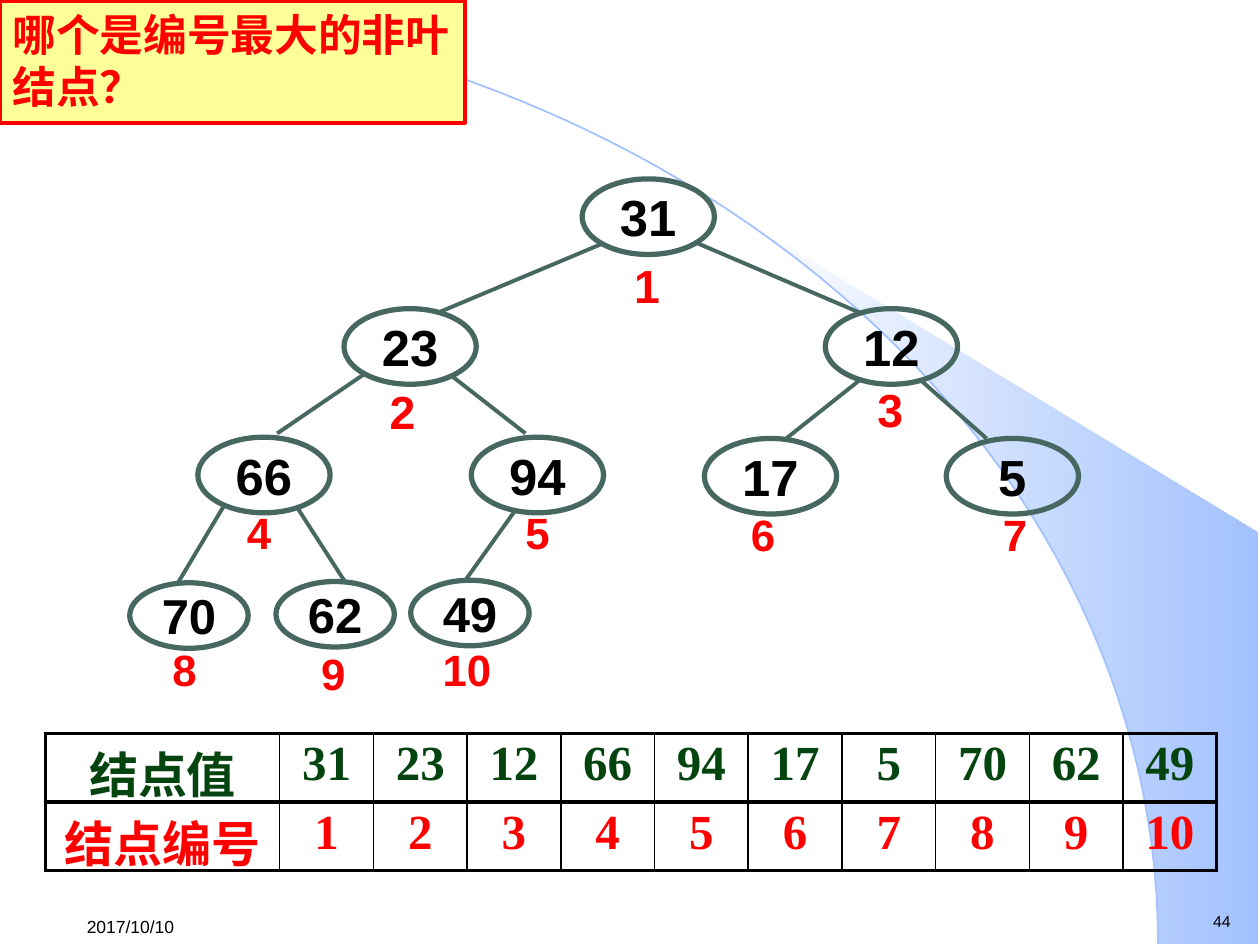
import math
from lxml import etree
from pptx import Presentation, util as u
from pptx.dml.color import RGBColor
from pptx.enum import shapes, text
from pptx.oxml.ns import qn

COLORS = {"ink": "000000", "red": "FF0000", "green": "04440F", "node": "466861",
          "note": "FFFF99", "sky": "A2C1FE", "paper": "FFFFFF"}
COLS, ROWS = 100, 75
W, H = u.Inches(10), u.Inches(7.5)

NODE, LEAF = (10.5, 6), (9.4, 5.2)
NODES = [
    (31, 41.15, 3, -0.1, 5.5), (23, 22.25, 13.3, -0.6, 5.2), (12, 60.45, 13.3, -0.1, 5.1),
    (66, 10.65, 23.5, -0.4, 4.65), (94, 32.35, 23.5, 0, 4.65),
    (17, 50.85, 23.6, -0.6, 4.75), (5, 70.05, 23.6, 0.2, 4.75),
    (70, 4.7, 34.65, -0.35, 4.4), (62, 16.3, 34.55, -0.15, 4.8), (49, 27, 34.45, -0.25, 4.6)]
EDGES = [
    (37.6, 5.1, 24.5, 10.6), (44.8, 5, 57.9, 10.6), (18.6, 15.5, 11.7, 20.2),
    (25.5, 15.6, 31.4, 20.2), (57.9, 16, 52.1, 20.6), (62.8, 16, 68, 20.6),
    (7.5, 25.9, 3.8, 32.1), (13.3, 26.1, 17.1, 32), (30.6, 26.3, 26.6, 31.9)]


def rgb(name):
    """Return a named colour."""
    return RGBColor.from_string(COLORS[name])


def grid(*lengths):
    """Turn alternating columns and rows into slide lengths."""
    return [round(v * (H / ROWS if i % 2 else W / COLS)) for i, v in enumerate(lengths)]


def centred(x, y, w, h):
    """Return the box of a given size around a centre."""
    return x - w / 2, y - h / 2, w, h


def write(tf, content, size=25, color="ink", font="Arial", bold=True, align=None,
          spacing=None, anchor=None, inset=(0, 0), wrap=True):
    """Put one formatted paragraph into a text frame."""
    tf.word_wrap = wrap
    if anchor is not None:
        tf.vertical_anchor = anchor
    tf.margin_left = tf.margin_right = u.Inches(inset[0])
    tf.margin_top = tf.margin_bottom = u.Inches(inset[1])
    p = tf.paragraphs[0]
    p.alignment, p.line_spacing = align, spacing
    r = p.add_run()
    r.text = str(content)
    r.font.size, r.font.name, r.font.bold = u.Pt(size), font, bold
    r.font.color.rgb = rgb(color)


def label(s, box, content, **fmt):
    """Add a text box on the grid."""
    write(s.shapes.add_textbox(*grid(*box)).text_frame, content, **fmt)


def outlined(s, kind, box, line, width, fill=None):
    """Add a preset shape with an outline and an optional fill."""
    sp = s.shapes.add_shape(kind, *grid(*box))
    sp.shadow.inherit = False
    sp.line.color.rgb, sp.line.width = rgb(line), u.Pt(width)
    if fill:
        sp.fill.solid()
        sp.fill.fore_color.rgb = rgb(fill)
    else:
        sp.fill.background()
    return sp


def backdrop(s, box):
    """Draw the quarter ellipse and the shaded wedge outside it."""
    x, y, w, h = box
    rx = w * 0.92

    def arc(start, steps=60):
        """Return arc points from an angle to the lower right end."""
        angles = [start + (math.pi / 2 - start) * i / steps for i in range(steps + 1)]
        return [grid(x + rx * math.sin(a), y + h * (1 - math.cos(a))) for a in angles]

    corner = [grid(x + w, y + h), grid(x + w, y + h * 0.565)]
    for points, closed in ((arc(math.asin(0.64)) + corner, True), (arc(0), False)):
        fb = s.shapes.build_freeform(*points[0])
        fb.add_line_segments(points[1:], close=closed)
        sp = fb.convert_to_shape()
        sp.shadow.inherit = False
        if closed:
            sp.line.fill.background()
            sp.fill.gradient()
            sp.fill.gradient_angle = 0
            for stop, name, place in zip(sp.fill.gradient_stops, ("paper", "sky"), (0, 1)):
                stop.color.rgb, stop.position = rgb(name), place
        else:
            sp.fill.background()
            sp.line.color.rgb, sp.line.width = rgb("sky"), u.Pt(1)


def tree(s, box):
    """Draw the binary tree with its node values and numbers."""
    left, top = box[:2]
    mid = text.PP_ALIGN.CENTER
    for x1, y1, x2, y2 in EDGES:
        c = s.shapes.add_connector(shapes.MSO_CONNECTOR.STRAIGHT,
                                   *grid(left + x1, top + y1, left + x2, top + y2))
        c.line.color.rgb, c.line.width = rgb("node"), u.Pt(2.25)
        etree.SubElement(c._element.spPr, qn("a:effectLst"))
    for number, (value, x, y, dx, dy) in enumerate(NODES, 1):
        x, y = left + x, top + y
        leaf = number > 7
        sp = outlined(s, shapes.MSO_SHAPE.FLOWCHART_CONNECTOR,
                      centred(x, y, *(LEAF if leaf else NODE)), "node", 3)
        if leaf:
            label(s, centred(x, y + 0.1, 5.1, 3.6), value, size=28, align=mid,
                  spacing=u.Pt(29))
        else:
            write(sp.text_frame, value, size=29, align=mid, wrap=False,
                  anchor=text.MSO_ANCHOR.MIDDLE)
        size, spacing, height = (26.5, 28, 3.6) if number < 4 else (25, 25, 3.1)
        label(s, centred(x + dx, y + dy, 4.5, height), number, size=size, color="red",
              align=mid, spacing=u.Pt(spacing))


def border(cell, **widths):
    """Set the black cell borders, each side given its width in points."""
    pr = cell._tc.get_or_add_tcPr()
    for i, side in enumerate("LRTB"):
        ln = etree.Element(qn("a:ln" + side), w=str(u.Pt(widths[side])))
        fill = etree.SubElement(ln, qn("a:solidFill"))
        etree.SubElement(fill, qn("a:srgbClr"), val=COLORS["ink"])
        pr.insert(i, ln)


def value_table(s, box):
    """Draw the table of node values and numbers."""
    rows = [("green", ["结点值"] + [n[0] for n in NODES]),
            ("red", ["结点编号"] + list(range(1, len(NODES) + 1)))]
    last = len(NODES)
    tbl = s.shapes.add_table(2, last + 1, *grid(*box)).table
    tbl.first_row = tbl.horz_banding = False
    head = box[2] * 0.2
    for j, col in enumerate(tbl.columns):
        col.width = grid((box[2] - head) / last if j else head)[0]
    for i, (color, values) in enumerate(rows):
        for j, value in enumerate(values):
            cell = tbl.cell(i, j)
            cell.fill.background()
            border(cell, L=1 if j else 2.25, R=2.25 if j == last else 1, T=2.25, B=2.25)
            write(cell.text_frame, value, size=28, color=color, font="Times New Roman",
                  align=text.PP_ALIGN.CENTER, spacing=0.95)


def question(s, box):
    """Draw the framed question."""
    sp = outlined(s, shapes.MSO_SHAPE.RECTANGLE, box, "red", 2.25, "note")
    write(sp.text_frame, "哪个是编号最大的非叶结点？", color="red", inset=(0.1, 0.05),
          align=text.PP_ALIGN.LEFT, anchor=text.MSO_ANCHOR.TOP)


def footer(s, box):
    """Place the date and the page number."""
    x, y, w, h = box
    fmt = dict(bold=False, inset=(0.1, 0.05), wrap=False)
    label(s, (x + w - 3.5, y, 3.5, 2.5), "44", size=9, **fmt)
    label(s, (x, y + 0.1, 10.2, h - 0.1), "2017/10/10", size=10,
          anchor=text.MSO_ANCHOR.MIDDLE, **fmt)


def main():
    """Build and save the slide."""
    prs = Presentation()
    prs.slide_width, prs.slide_height = W, H
    s = prs.slides.add_slide(prs.slide_layouts[6])
    backdrop(s, (0, 0, 99.9, 74.9))
    footer(s, (5.9, 71.9, 92.9, 3.1))
    value_table(s, (3.6, 58.2, 93, 10.9))
    tree(s, (10.3, 14.2, 75.3, 41))
    question(s, (0, 0.1, 36.9, 9.7))
    prs.save("out.pptx")


if __name__ == "__main__":
    main()
